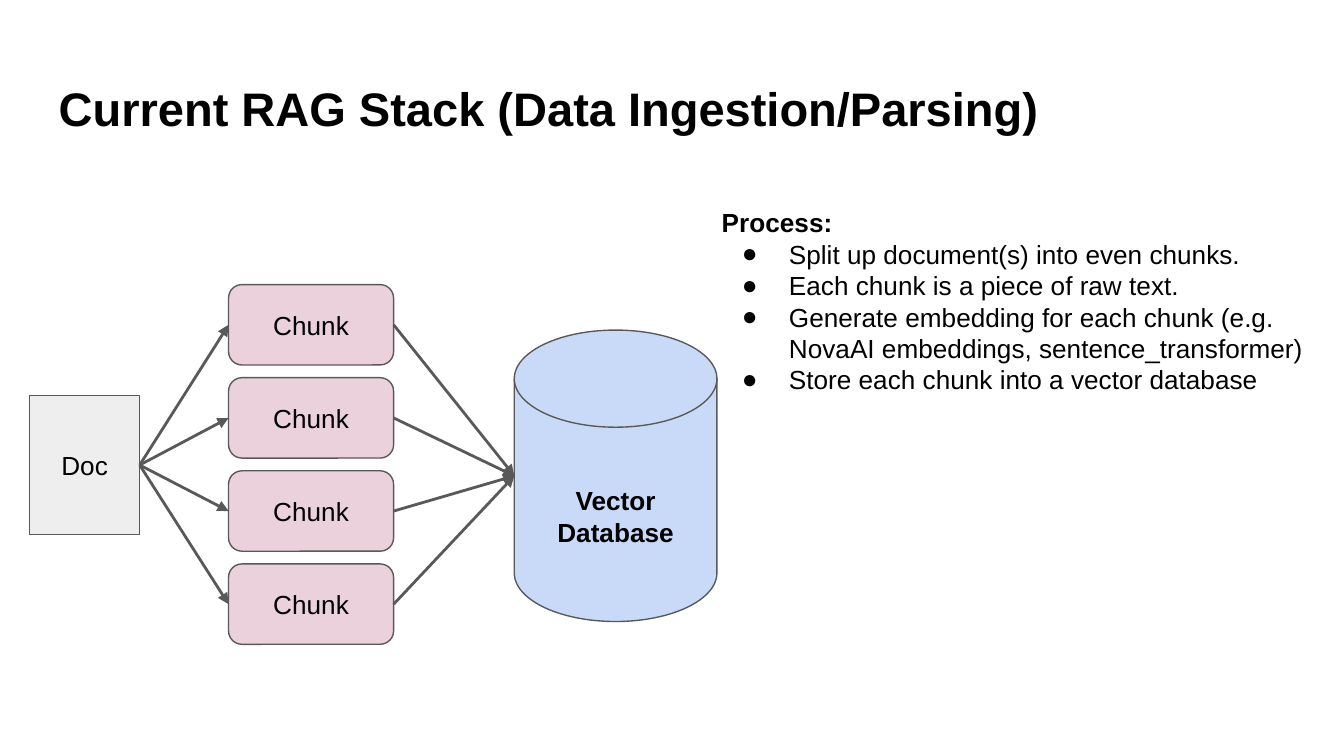
from lxml import etree
from pptx import Presentation
from pptx.dml.color import RGBColor
from pptx.enum.shapes import MSO_CONNECTOR, MSO_SHAPE
from pptx.enum.text import MSO_ANCHOR, MSO_AUTO_SIZE, PP_ALIGN
from pptx.oxml.ns import qn
from pptx.util import Cm, Pt

STRAIGHT = MSO_CONNECTOR.STRAIGHT
RECTANGLE = MSO_SHAPE.RECTANGLE
ROUNDED = MSO_SHAPE.ROUNDED_RECTANGLE
DISK = MSO_SHAPE.FLOWCHART_MAGNETIC_DISK
TOP, MIDDLE = MSO_ANCHOR.TOP, MSO_ANCHOR.MIDDLE
NO_AUTOFIT = MSO_AUTO_SIZE.NONE
LEFT, CENTER = PP_ALIGN.LEFT, PP_ALIGN.CENTER

INK, GRAY = "000000", "595959"
INSET = Cm(0.25)
LEFT_SIDE, RIGHT_SIDE = 1, 3


def color(hex_string):
    return RGBColor.from_string(hex_string)


def add_text(shape, lines, size, alignment, anchor):
    """Fill a shape with (text, bold) lines, one paragraph each."""
    frame = shape.text_frame
    frame.word_wrap = True
    frame.auto_size = NO_AUTOFIT
    frame.vertical_anchor = anchor
    frame.margin_left = frame.margin_right = INSET
    frame.margin_top = frame.margin_bottom = INSET
    for index, (text, bold) in enumerate(lines):
        paragraph = frame.add_paragraph() if index else frame.paragraphs[0]
        paragraph.alignment = alignment
        paragraph.space_before = Pt(0)
        run = paragraph.add_run()
        run.text = text
        run.font.name = "Arial"
        run.font.size = Pt(size)
        run.font.bold = bold
        run.font.color.rgb = color(INK)


presentation = Presentation()
presentation.slide_width, presentation.slide_height = Cm(25.4), Cm(14.29)
slide = presentation.slides.add_slide(presentation.slide_layouts[1])
shapes = slide.shapes

# Title
title = shapes.title
title.left, title.top, title.width, title.height = Cm(0.86), Cm(1.24), Cm(23.67), Cm(1.6)
add_text(title, [("Current RAG Stack (Data Ingestion/Parsing)", True)], 25.2, LEFT, MIDDLE)

# Process list: a plain heading followed by bullets
process = slide.placeholders[1]
process.left, process.top, process.width, process.height = Cm(13.39), Cm(3.66), Cm(11.58), Cm(4.7)
add_text(process, [
    ("Process:", True),
    ("Split up document(s) into even chunks.", False),
    ("Each chunk is a piece of raw text.", False),
    ("Generate embedding for each chunk (e.g. NovaAI embeddings, sentence_transformer)", False),
    ("Store each chunk into a vector database", False),
], 14, LEFT, TOP)
heading, *items = process.text_frame.paragraphs
properties = heading._p.get_or_add_pPr()
properties.set("marL", "0")
properties.set("indent", "0")
etree.SubElement(properties, qn("a:buNone"))
for item in items:
    properties = item._p.get_or_add_pPr()
    properties.set("marL", str(Cm(1.27)))
    properties.set("indent", str(-Cm(0.89)))
    bullet_color = etree.SubElement(properties, qn("a:buClr"))
    etree.SubElement(bullet_color, qn("a:srgbClr"), val=INK)
    etree.SubElement(properties, qn("a:buFont"), typeface="Arial")
    etree.SubElement(properties, qn("a:buChar"), char="●")

# Diagram nodes: kind, left, top, width, height, fill, text, bold
nodes = [
    (DISK, 9.72, 6.24, 3.83, 5.51, "C9DAF8", "Vector Database", True),
    (RECTANGLE, 0.56, 7.48, 2.08, 2.62, "EEEEEE", "Doc", False),
]
nodes += [(ROUNDED, 4.32, 5.38 + 1.76 * row, 3.12, 1.52, "EAD1DC", "Chunk", False)
          for row in range(4)]
drawn = []
for kind, left, top, width, height, fill, text, bold in nodes:
    node = shapes.add_shape(kind, Cm(left), Cm(top), Cm(width), Cm(height))
    node.shadow.inherit = False
    node.fill.solid()
    node.fill.fore_color.rgb = color(fill)
    node.line.color.rgb = color(GRAY)
    node.line.width = Pt(0.75)
    add_text(node, [(text, bold)], 14, CENTER, MIDDLE)
    drawn.append(node)
database, document, *chunks = drawn
database.text_frame.margin_top = Cm(0.85)

# Arrows: document to every chunk, every chunk to the database
arrows = []
for chunk in chunks:
    arrow = shapes.add_connector(STRAIGHT, 0, 0, 0, 0)
    arrow.begin_connect(document, RIGHT_SIDE)
    arrow.end_connect(chunk, LEFT_SIDE)
    arrows.append(arrow)
for chunk in chunks:
    arrow = shapes.add_connector(STRAIGHT, 0, 0, database.left,
                                 database.top + database.height // 2)
    arrow.begin_connect(chunk, RIGHT_SIDE)
    arrows.append(arrow)
for arrow in arrows:
    arrow.line.color.rgb = color(GRAY)
    arrow.line.width = Pt(1.5)
    etree.SubElement(arrow.line._get_or_add_ln(), qn("a:tailEnd"), type="triangle")
    etree.SubElement(arrow._element.spPr, qn("a:effectLst"))

presentation.save("out.pptx")
